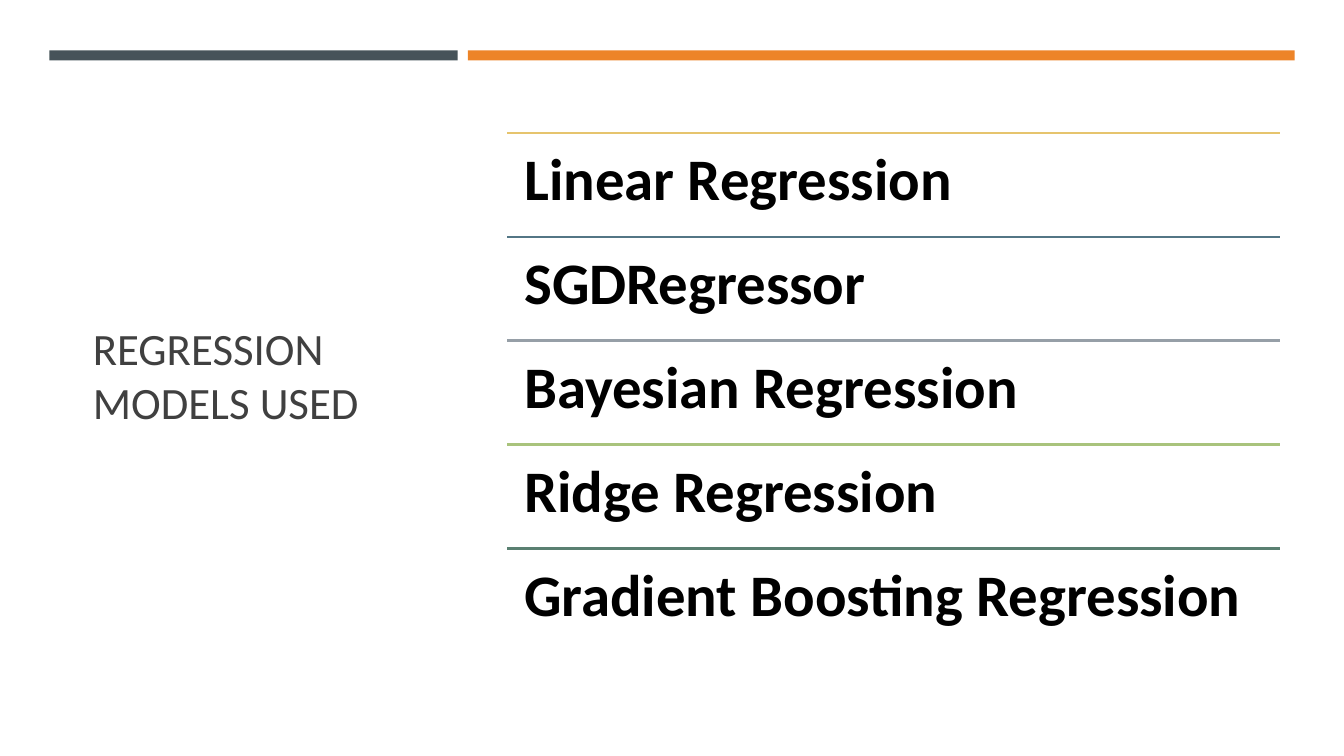
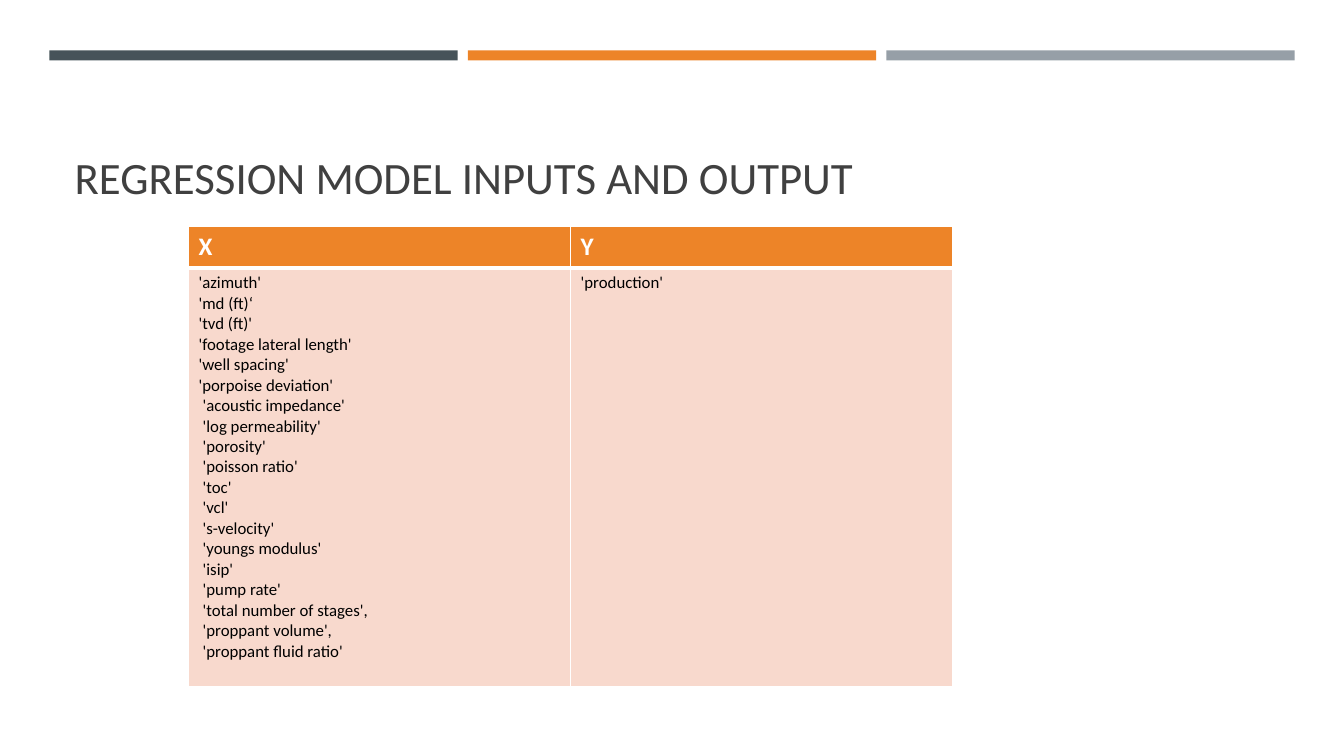
from dataclasses import dataclass

from lxml import etree
from pptx import Presentation
from pptx.dml.color import RGBColor
from pptx.enum import shapes, text
from pptx.oxml import ns
from pptx.util import Inches, Pt


@dataclass(frozen=True)
class Theme:
    font: str = "Calibri"
    title: str = "404040"
    slate: str = "465359"
    orange: str = "ED8428"
    gray: str = "969FA7"
    peach: str = "F8D9CD"
    black: str = "000000"
    white: str = "FFFFFF"
    rules: tuple = ("E6C46D", "537685", "969FA7", "A9C37C", "5A8071")
    title_size: int = 32
    model_size: int = 42
    header_size: int = 18
    cell_size: int = 12


THEME = Theme()
TITLE_ONLY = 5

MODELS = ["Linear Regression", "SGDRegressor", "Bayesian Regression",
          "Ridge Regression", "Gradient Boosting Regression"]
INPUTS = ["'azimuth'", "'md (ft)‘", "'tvd (ft)'", "'footage lateral length'",
          "'well spacing'", "'porpoise deviation'"]
INDENTED_INPUTS = ["'acoustic impedance'", "'log permeability'", "'porosity'",
                   "'poisson ratio'", "'toc'", "'vcl'", "'s-velocity'",
                   "'youngs modulus'", "'isip'", "'pump rate'",
                   "'total number of stages',", "'proppant volume',",
                   "'proppant fluid ratio'"]


def color(value):
    return RGBColor.from_string(value)


def add_run(paragraph, words, size, fill, bold=False):
    run = paragraph.add_run()
    run.text = words
    run.font.name = THEME.font
    run.font.size = Pt(size)
    run.font.bold = bold
    run.font.color.rgb = color(fill)


def add_title(slide, words, box, anchor):
    title = slide.shapes.title
    title.left, title.top, title.width, title.height = map(Inches, box)
    frame = title.text_frame
    frame.word_wrap = True
    frame.auto_size = text.MSO_AUTO_SIZE.NONE
    frame.vertical_anchor = anchor
    paragraph = frame.paragraphs[0]
    paragraph.alignment = text.PP_ALIGN.LEFT
    add_run(paragraph, words, THEME.title_size, THEME.title)


def add_bands(slide, *bands):
    """Draw the top bands, each given as (colour, columns spanned)."""
    left, width, gap = 0.49, 4.05, 0.1
    for fill, span in bands:
        band_width = span * width + (span - 1) * gap
        band = slide.shapes.add_shape(
            shapes.MSO_SHAPE.RECTANGLE, Inches(left), Inches(0.5),
            Inches(band_width), Inches(0.1))
        band.shadow.inherit = False
        band.fill.solid()
        band.fill.fore_color.rgb = color(fill)
        band.line.fill.background()
        left += band_width + gap


def add_rule(slide, left, top, width, fill):
    rule = slide.shapes.add_connector(
        shapes.MSO_CONNECTOR.STRAIGHT, Inches(left), Inches(top),
        Inches(left + width), Inches(top))
    rule.line.color.rgb = color(fill)
    rule.line.width = Pt(1.75)
    etree.SubElement(rule._element.spPr, ns.qn("a:effectLst"))


def add_ruled_list(slide, items):
    left, top, width, pitch = 5.03, 1.32, 7.67, 1.03
    for index, (item, fill) in enumerate(zip(items, THEME.rules)):
        row_top = top + index * pitch
        add_rule(slide, left, row_top, width, fill)
        box = slide.shapes.add_textbox(
            Inches(left), Inches(row_top), Inches(width), Inches(pitch))
        frame = box.text_frame
        frame.word_wrap = True
        frame.margin_left = frame.margin_right = Inches(0.17)
        frame.margin_top = frame.margin_bottom = Inches(0.17)
        paragraph = frame.paragraphs[0]
        paragraph.line_spacing = 0.9
        add_run(paragraph, item, THEME.model_size, THEME.black, bold=True)


def set_borders(cell, top, bottom):
    """Give a cell white borders, 1 pt wide at the sides."""
    properties = cell._tc.get_or_add_tcPr()
    widths = {"lnL": 1, "lnR": 1, "lnT": top, "lnB": bottom}
    for index, (tag, width) in enumerate(widths.items()):
        line = etree.Element(ns.qn(f"a:{tag}"), w=str(Pt(width)))
        fill = etree.SubElement(line, ns.qn("a:solidFill"))
        etree.SubElement(fill, ns.qn("a:srgbClr"), val=THEME.white)
        properties.insert(index, line)


def fill_cell(cell, lines, fill, size, ink, bold=False):
    """Fill a cell with lines, each given as (words, indent in inches)."""
    cell.fill.solid()
    cell.fill.fore_color.rgb = color(fill)
    frame = cell.text_frame
    for index, (words, indent) in enumerate(lines):
        paragraph = frame.add_paragraph() if index else frame.paragraphs[0]
        if indent:
            paragraph._p.get_or_add_pPr().set("marL", str(Inches(indent)))
        add_run(paragraph, words, size, ink, bold)


def add_variable_table(slide, columns):
    """Draw a table from a mapping of heading to lines."""
    row_heights = (0.4, 4.16)
    table = slide.shapes.add_table(
        2, len(columns), Inches(1.87), Inches(2.25),
        Inches(7.58), Inches(sum(row_heights))).table
    for row, height in zip(table.rows, row_heights):
        row.height = Inches(height)
    for index, (heading, lines) in enumerate(columns.items()):
        table.columns[index].width = Inches(3.79)
        header, body = table.cell(0, index), table.cell(1, index)
        fill_cell(header, [(heading, 0)], THEME.orange,
                  THEME.header_size, THEME.white, bold=True)
        fill_cell(body, lines, THEME.peach, THEME.cell_size, THEME.black)
        set_borders(header, top=1, bottom=3)
        set_borders(body, top=3, bottom=1)


def add_slide(presentation):
    return presentation.slides.add_slide(
        presentation.slide_layouts[TITLE_ONLY])


def build_models_slide(presentation):
    slide = add_slide(presentation)
    add_title(slide, "REGRESSION MODELS USED", (0.82, 1.14, 3.34, 5.15),
              text.MSO_ANCHOR.MIDDLE)
    add_bands(slide, (THEME.slate, 1), (THEME.orange, 2))
    add_ruled_list(slide, MODELS)


def build_variables_slide(presentation):
    slide = add_slide(presentation)
    add_bands(slide, (THEME.slate, 1), (THEME.orange, 1), (THEME.gray, 1))
    add_title(slide, "REGRESSION MODEL INPUTS AND OUTPUT",
              (0.64, 0.77, 12.06, 1.3), text.MSO_ANCHOR.BOTTOM)
    inputs = [(name, 0) for name in INPUTS]
    inputs += [(name, 0.04) for name in INDENTED_INPUTS]
    add_variable_table(slide, {"X": inputs, "Y": [("'production'", 0)]})


def main():
    presentation = Presentation()
    presentation.slide_width = Inches(13.33)
    presentation.slide_height = Inches(7.5)
    build_models_slide(presentation)
    build_variables_slide(presentation)
    presentation.save("out.pptx")


if __name__ == "__main__":
    main()
